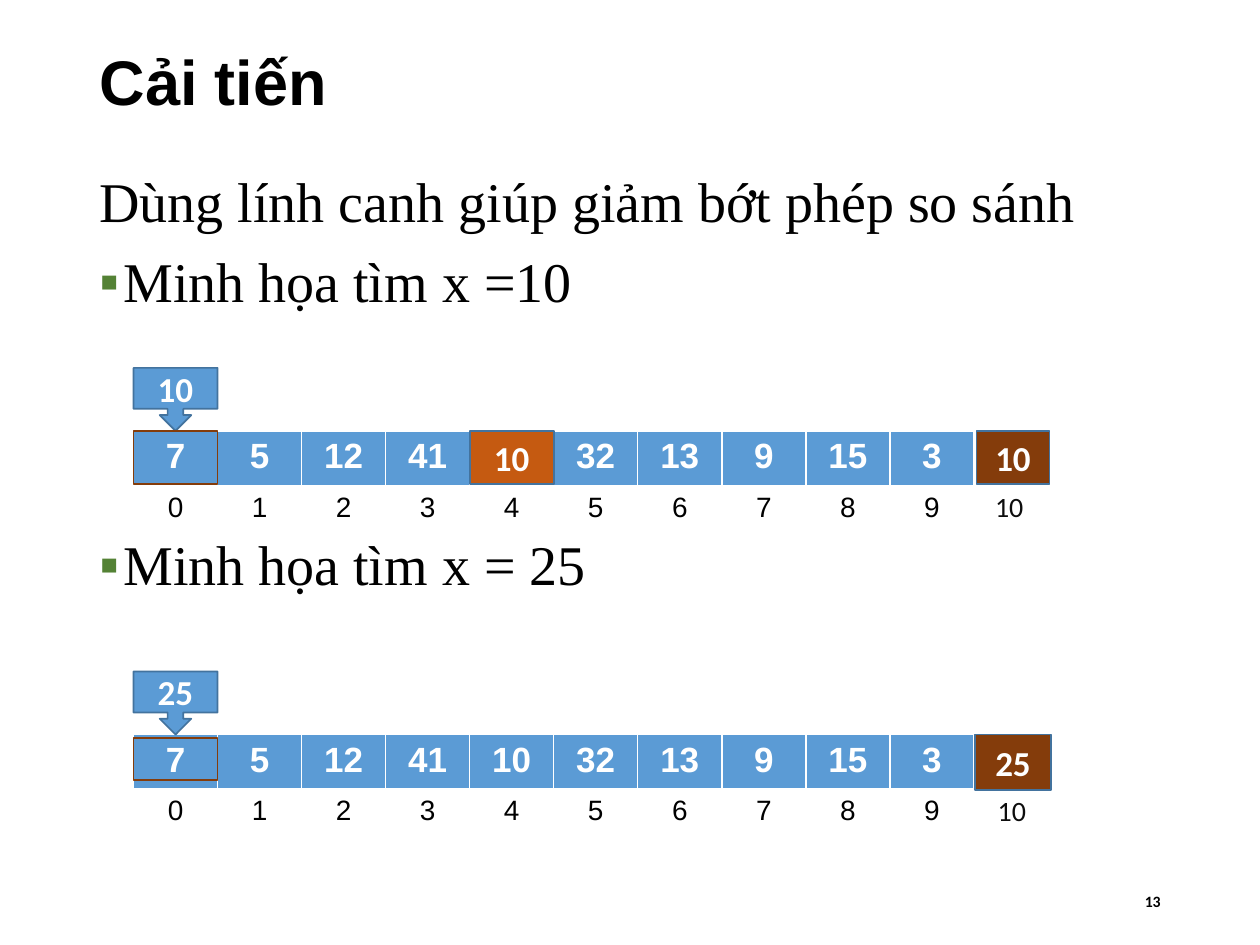
from lxml.etree import SubElement
from pptx import Presentation
from pptx.dml.color import RGBColor
from pptx.enum.shapes import MSO_SHAPE
from pptx.enum.text import MSO_ANCHOR, PP_ALIGN
from pptx.oxml.ns import qn
from pptx.util import Inches, Pt

BLACK = RGBColor(0, 0, 0)
INK = RGBColor(0x0D, 0x0D, 0x0D)
WHITE = RGBColor(0xFF, 0xFF, 0xFF)
BLUE = RGBColor(0x5B, 0x9B, 0xD5)
NAVY = RGBColor(0x43, 0x73, 0x9E)
ORANGE = RGBColor(0xC5, 0x5A, 0x11)
BROWN = RGBColor(0x84, 0x3C, 0x0B)
GREEN = "548235"

TITLE = "Cải tiến"
PAGE_NUMBER = "13"
BODY = [
    {"text": "Dùng lính canh giúp giảm bớt phép so sánh", "bullet": None, "before": 0},
    {"text": "Minh họa tìm x =10", "bullet": "▪", "before": 11.5},
    {"text": "Minh họa tìm x = 25", "bullet": "▪", "before": 127},
]
VALUES = [7, 5, 12, 41, 10, 32, 13, 9, 15, 3]
SEARCHES = [
    {"target": 10, "top": 3.42, "cursor": (0, 0.42),
     "sentinel": (7.75, 0.58, 0.42), "label": (7.72, 0.41, 0.38)},
    {"target": 25, "top": 5.83, "cursor": (0.03, 0.33),
     "sentinel": (7.74, 0.6, 0.44), "label": (7.74, 0.38, 0.45)},
]

LEFT = 1.06
TABLE_WIDTH = 6.67
CELL = TABLE_WIDTH / len(VALUES)
ROW = 0.41
CALLOUT = 0.5

TITLE_FONT = {"name": "Arial", "size": Pt(36), "bold": True, "color": BLACK}
BODY_FONT = {"name": "Times New Roman", "size": Pt(32), "bold": False, "color": BLACK}
VALUE_FONT = {"name": "Arial", "size": Pt(20), "bold": True, "color": WHITE}
INDEX_FONT = {"name": "Arial", "size": Pt(16), "bold": False, "color": BLACK}
BOX_FONT = {"name": "Calibri", "size": Pt(20), "bold": True, "color": WHITE}
LABEL_FONT = {"name": "Calibri", "size": Pt(16), "bold": False, "color": INK}
NUMBER_FONT = {"name": "Calibri", "size": Pt(9), "bold": True, "color": BLACK}


def write(para, text, style, align=PP_ALIGN.CENTER):
    para.alignment = align
    span = para.add_run()
    span.text = str(text)
    for key, value in style.items():
        if key == "color":
            span.font.color.rgb = value
        else:
            setattr(span.font, key, value)


def add_text(page, area, text, style, align=PP_ALIGN.CENTER):
    box = page.shapes.add_textbox(*map(Inches, area))
    box.text_frame.word_wrap = True
    box.text_frame.vertical_anchor = MSO_ANCHOR.MIDDLE
    write(box.text_frame.paragraphs[0], text, style, align)


def add_box(page, kind, area, fill, line, text=None):
    box = page.shapes.add_shape(kind, *map(Inches, area))
    box.shadow.inherit = False
    if fill is None:
        box.fill.background()
    else:
        box.fill.solid()
        box.fill.fore_color.rgb = fill
    box.line.color.rgb = line
    box.line.width = Pt(1)
    if text is not None:
        box.text_frame.vertical_anchor = MSO_ANCHOR.MIDDLE
        write(box.text_frame.paragraphs[0], text, BOX_FONT)


def add_title(page):
    title = page.shapes.title
    title.left, title.top, title.width, title.height = map(Inches, (0.69, 0.08, 8.62, 1.12))
    title.text_frame.vertical_anchor = MSO_ANCHOR.MIDDLE
    write(title.text_frame.paragraphs[0], TITLE, TITLE_FONT, PP_ALIGN.LEFT)


def add_body(page):
    box = page.shapes.add_textbox(*map(Inches, (0.69, 1.33, 8.62, 5.42)))
    frame = box.text_frame
    frame.word_wrap = True
    for number, item in enumerate(BODY):
        para = frame.add_paragraph() if number else frame.paragraphs[0]
        para.line_spacing = 0.9
        para.space_before = Pt(item["before"])
        write(para, item["text"], BODY_FONT, PP_ALIGN.JUSTIFY)
        if item["bullet"]:
            props = para._p.get_or_add_pPr()
            props.set("marL", str(Inches(0.19)))
            props.set("indent", str(Inches(-0.19)))
            color = SubElement(props, qn("a:buClr"))
            SubElement(color, qn("a:srgbClr"), val=GREEN)
            SubElement(props, qn("a:buFont"), typeface="Arial")
            SubElement(props, qn("a:buChar"), char=item["bullet"])


def add_array(page, top):
    area = map(Inches, (LEFT, top, TABLE_WIDTH, 2 * ROW))
    table = page.shapes.add_table(2, len(VALUES), *area).table
    for row in table.rows:
        row.height = Inches(ROW)
    for index, value in enumerate(VALUES):
        table.columns[index].width = Inches(CELL)
        head, foot = table.cell(0, index), table.cell(1, index)
        head.fill.solid()
        head.fill.fore_color.rgb = BLUE
        foot.fill.background()
        write(head.text_frame.paragraphs[0], value, VALUE_FONT)
        write(foot.text_frame.paragraphs[0], index, INDEX_FONT)


def add_search(page, search):
    target, top = search["target"], search["top"]
    add_array(page, top)
    add_box(page, MSO_SHAPE.DOWN_ARROW_CALLOUT, (LEFT, top - CALLOUT, CELL, CALLOUT),
            BLUE, NAVY, target)
    offset, height = search["cursor"]
    add_box(page, MSO_SHAPE.FLOWCHART_PROCESS, (LEFT, top + offset, CELL, height), None, BROWN)
    if target in VALUES:
        found = LEFT + VALUES.index(target) * CELL
        add_box(page, MSO_SHAPE.FLOWCHART_PROCESS, (found, top, CELL, 0.42),
                ORANGE, NAVY, target)
    left, width, height = search["sentinel"]
    add_box(page, MSO_SHAPE.RECTANGLE, (left, top, width, height), BROWN, NAVY, target)
    left, offset, height = search["label"]
    add_text(page, (left, top + offset, 0.58, height), len(VALUES), LABEL_FONT)


def main():
    deck = Presentation()
    deck.slide_width, deck.slide_height = Inches(10), Inches(7.5)
    page = deck.slides.add_slide(deck.slide_layouts[5])
    add_title(page)
    add_body(page)
    add_text(page, (6.62, 6.95, 2.69, 0.4), PAGE_NUMBER, NUMBER_FONT, PP_ALIGN.RIGHT)
    for search in SEARCHES:
        add_search(page, search)
    deck.save("out.pptx")


if __name__ == "__main__":
    main()
